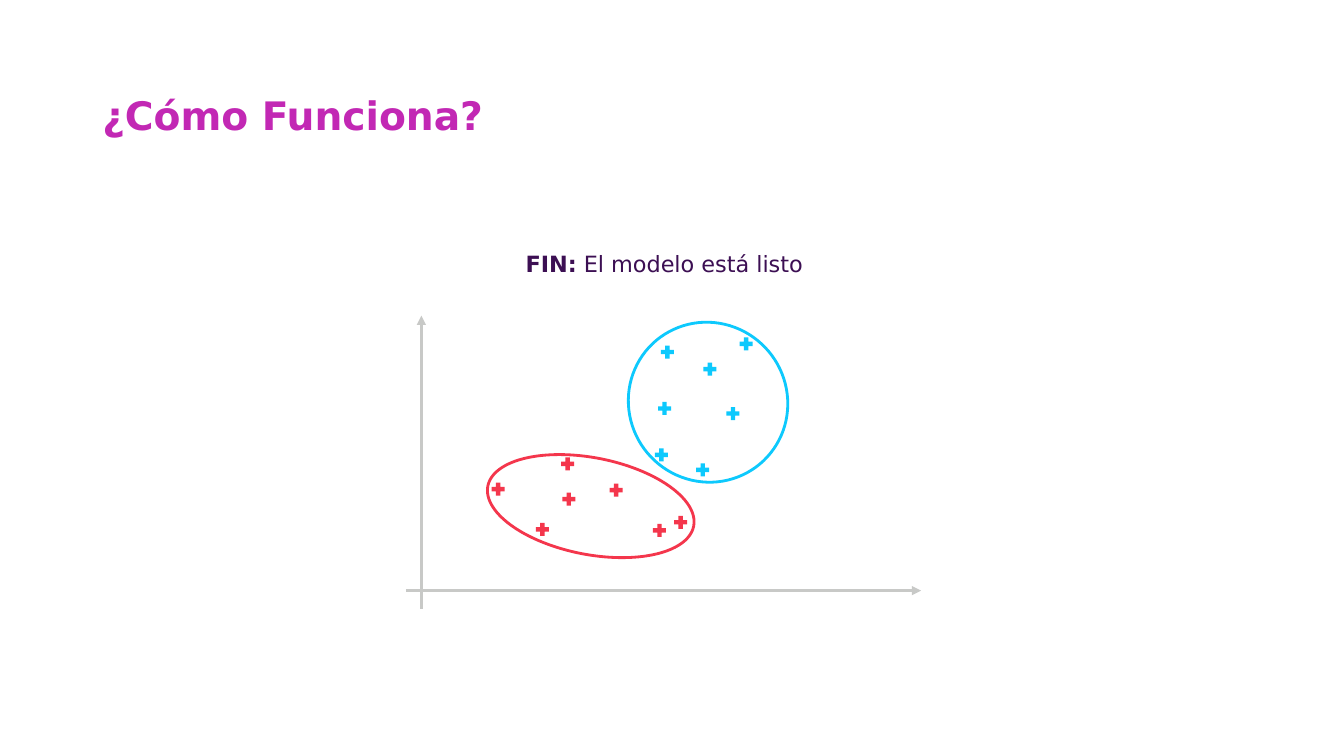
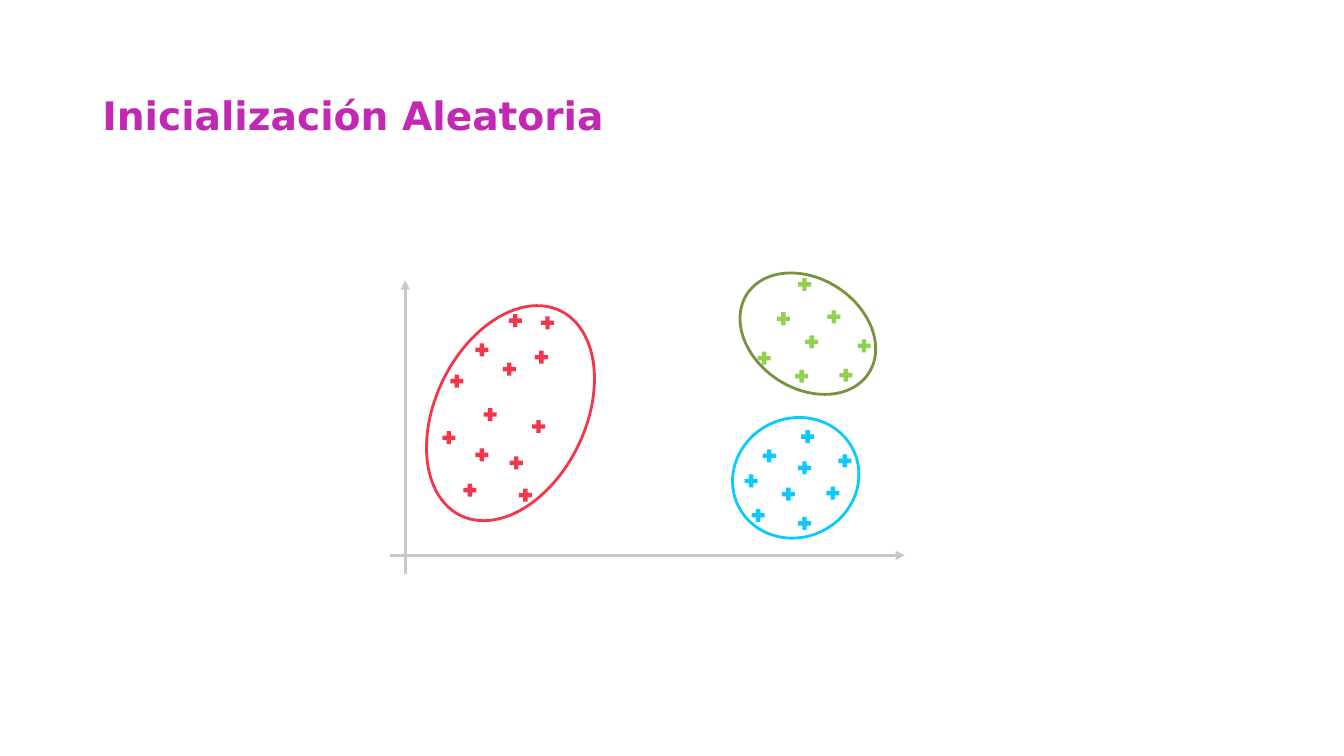
from lxml import etree
from pptx import Presentation
from pptx import util as u
from pptx.dml.color import RGBColor
from pptx.enum import shapes, text
from pptx.oxml import ns

MAGENTA = RGBColor(0xC2, 0x28, 0xB4)
PURPLE = RGBColor(0x3C, 0x0F, 0x53)
GRAY = RGBColor(0xC8, 0xC9, 0xC7)
BLUE = RGBColor(0x0D, 0xC9, 0xFD)
RED = RGBColor(0xF4, 0x36, 0x4C)
LIME = RGBColor(0x92, 0xD0, 0x50)
OLIVE = RGBColor(0x77, 0x93, 0x3C)
FONT = "DejaVu Sans"
MARK = 9.3

SLIDES = [
    {
        "title": "¿Cómo Funciona?",
        "caption": [("FIN:", True), (" El modelo está listo", False)],
        "origin": (301, 421.9),
        "clusters": [
            {
                "mark": BLUE, "outline": BLUE,
                "ellipse": (449.3, 229.7, 113, 115.2), "rotation": 320,
                "points": [(523.6, 295.4), (472.5, 324.9), (502, 335.7), (474.7, 291.8),
                           (533, 245.7), (476.8, 251.5), (507.1, 263.7)],
            },
            {
                "mark": RED, "outline": RED,
                "ellipse": (387.4, 286.6, 69.1, 149.8), "rotation": 101,
                "points": [(387.5, 378.2), (486.2, 373.1), (406.3, 356.6), (471.1, 378.9),
                           (355.9, 349.4), (405.5, 331.4), (440.1, 350.1)],
            },
        ],
    },
    {
        "title": "Inicialización Aleatoria",
        "caption": [],
        "origin": (289.4, 396.7),
        "clusters": [
            {
                "mark": RED, "outline": RED,
                "ellipse": (311, 213.8, 107.3, 162.7), "rotation": 26,
                "points": [(384.7, 304.7), (344.3, 324.9), (375.3, 353.7), (335.7, 350.1),
                           (320.6, 312.7), (350.1, 296.1), (368.8, 330.7), (326.3, 272.3),
                           (363.8, 263.7), (344.3, 250), (386.8, 255.1), (391.1, 230.6),
                           (368.1, 229.1)],
            },
            {
                "mark": BLUE, "outline": BLUE,
                "ellipse": (522.7, 298.8, 91.4, 85), "rotation": 335,
                "points": [(536.6, 343.6), (549.5, 325.6), (563.2, 353), (541.6, 368.1),
                           (574.7, 373.9), (594.9, 352.3), (574.7, 334.3), (603.5, 329.2),
                           (576.9, 311.9)],
            },
            {
                "mark": LIME, "outline": OLIVE,
                "ellipse": (537.8, 186.5, 78.5, 103.7), "rotation": 303,
                "points": [(574.7, 203.2), (595.6, 226.3), (559.6, 227.7), (579.8, 244.3),
                           (617.2, 247.1), (572.6, 268.7), (604.3, 268), (545.9, 255.8)],
            },
        ],
    },
]


def add_text(page, bounds, runs, size, color):
    box = page.shapes.add_textbox(*map(u.Pt, bounds))
    box.text_frame.word_wrap = True
    para = box.text_frame.paragraphs[0]
    for words, bold in runs:
        span = para.add_run()
        span.text = words
        span.font.name = FONT
        span.font.size = u.Pt(size)
        span.font.bold = bold
        span.font.color.rgb = color
    return box.text_frame


def add_axis(page, *ends):
    axis = page.shapes.add_connector(shapes.MSO_CONNECTOR.STRAIGHT, *map(u.Pt, ends))
    axis.line.color.rgb = GRAY
    axis.line.width = u.Pt(2.25)
    etree.SubElement(axis.line._get_or_add_ln(), ns.qn("a:tailEnd"), type="triangle")
    etree.SubElement(axis._element.spPr, ns.qn("a:effectLst"))


deck = Presentation()
deck.slide_width = u.Pt(960)
deck.slide_height = u.Pt(540)

for content in SLIDES:
    page = deck.slides.add_slide(deck.slide_layouts[6])

    title = add_text(page, (66, 51, 828, 65.6), [(content["title"], True)], 28, MAGENTA)
    title.vertical_anchor = text.MSO_ANCHOR.MIDDLE
    title.paragraphs[0].line_spacing = 0.9

    x, y = content["origin"]
    add_axis(page, x, y + 13, x, y - 196.5)
    add_axis(page, x - 11, y, x + 357, y)

    for cluster in content["clusters"]:
        for center_x, center_y in cluster["points"]:
            cross = page.shapes.add_shape(
                shapes.MSO_SHAPE.CROSS, u.Pt(center_x - MARK / 2), u.Pt(center_y - MARK / 2),
                u.Pt(MARK), u.Pt(MARK))
            cross.adjustments[0] = 0.33
            cross.shadow.inherit = False
            cross.fill.solid()
            cross.fill.fore_color.rgb = cluster["mark"]
            cross.line.fill.background()

        ellipse = page.shapes.add_shape(shapes.MSO_SHAPE.OVAL, *map(u.Pt, cluster["ellipse"]))
        ellipse.rotation = cluster["rotation"]
        ellipse.shadow.inherit = False
        ellipse.fill.background()
        ellipse.line.color.rgb = cluster["outline"]
        ellipse.line.width = u.Pt(2)

    if content["caption"]:
        caption = add_text(page, (261.4, 175, 426.2, 26.6), content["caption"], 16, PURPLE)
        caption.margin_left = caption.margin_right = u.Pt(3.6)
        caption.margin_top = caption.margin_bottom = u.Pt(3.6)
        caption.auto_size = text.MSO_AUTO_SIZE.SHAPE_TO_FIT_TEXT
        caption.paragraphs[0].alignment = text.PP_ALIGN.CENTER

deck.save("out.pptx")
